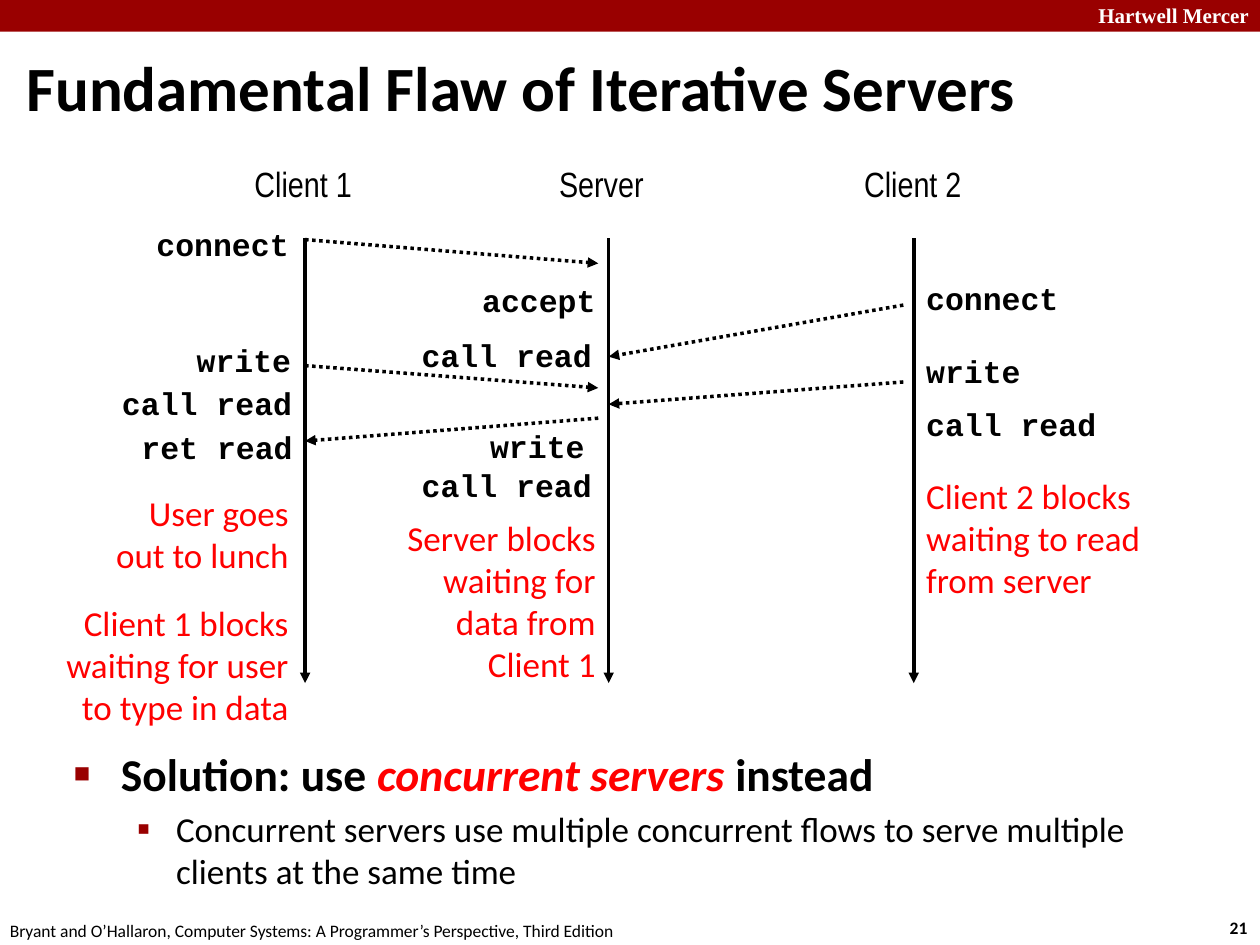
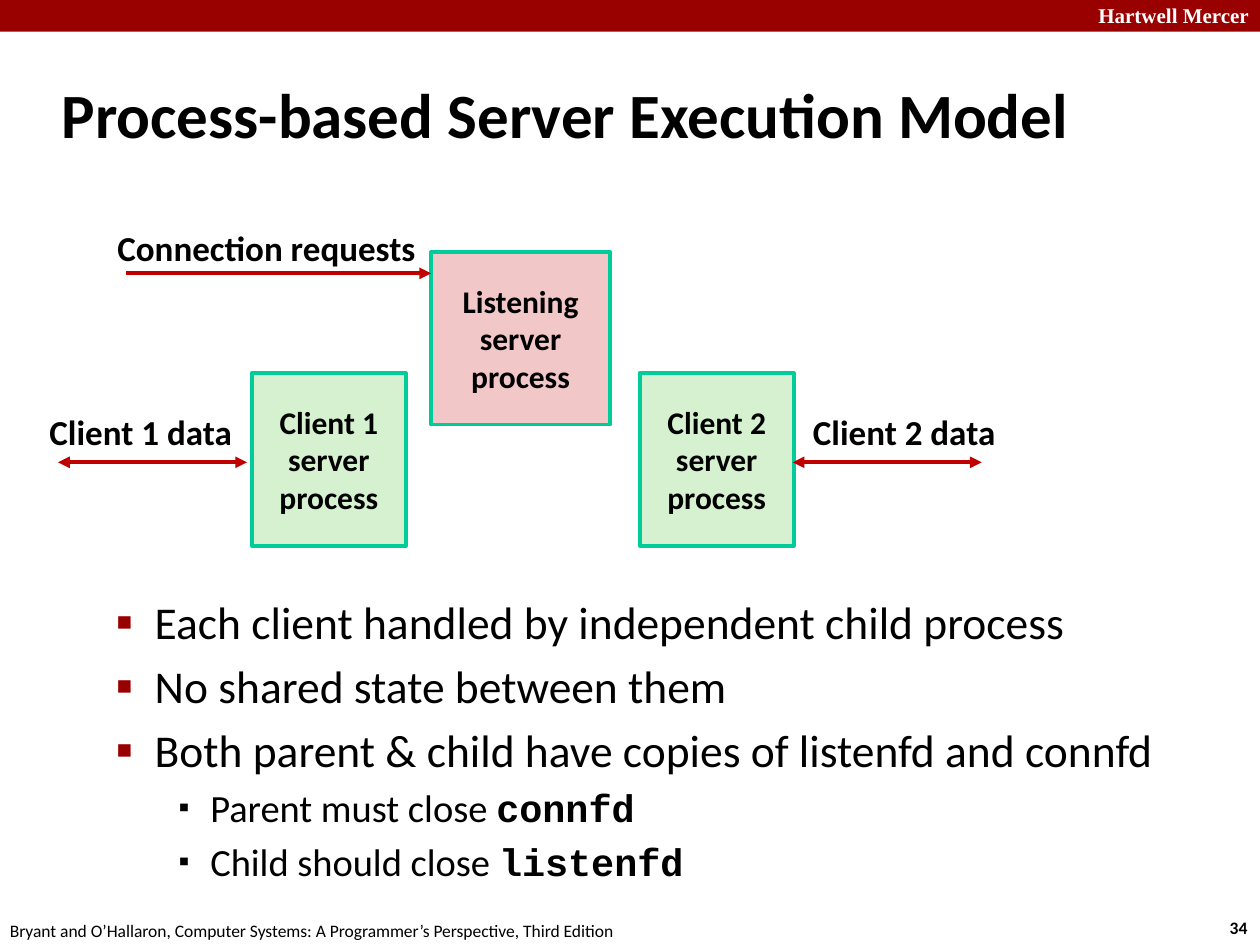
"""Build two slides on iterative and process-based servers."""
from lxml.etree import SubElement
from pptx import Presentation
from pptx.dml.color import RGBColor
from pptx.enum.dml import MSO_LINE_DASH_STYLE as DASH
from pptx.enum.shapes import MSO_CONNECTOR as CONN, MSO_SHAPE as SHAPE
from pptx.enum.text import MSO_ANCHOR as ANCHOR, MSO_AUTO_SIZE as AUTO, PP_ALIGN as ALIGN
from pptx.oxml.ns import qn
from pptx.util import Cm, Pt

BLACK, WHITE, RED = "000000", "FFFFFF", "FF0000"
CRIMSON, ARROW_RED = "990000", "C00000"
GREEN, PINK, TEAL = "D5F1CF", "F1C7C7", "00CC99"
SANS, NARROW, MONO, SERIF = "Calibri", "Arial Narrow", "Courier New", "Times New Roman"
LEFT, RIGHT = ALIGN.LEFT, ALIGN.RIGHT
rgb = RGBColor.from_string


def add_run(p, text, size, font=SANS, color=BLACK, bold=False, italic=False):
    """Append one formatted run to a paragraph."""
    r = p.add_run()
    r.text = text
    r.font.name, r.font.size = font, Pt(size)
    r.font.bold, r.font.italic = bold, italic
    r.font.color.rgb = rgb(color)


def add_line(s, x1, y1, x2, y2, color=BLACK, width=2, dash=None, both=False):
    """Draw an arrow between two points given in centimetres."""
    c = s.shapes.add_connector(CONN.STRAIGHT, Cm(x1), Cm(y1), Cm(x2), Cm(y2))
    c.line.color.rgb, c.line.width = rgb(color), Pt(width)
    if dash:
        c.line.dash_style = dash
    ln = c.line._get_or_add_ln()
    for tag in ["a:headEnd", "a:tailEnd"] if both else ["a:tailEnd"]:
        SubElement(ln, qn(tag), type="triangle")
    SubElement(c._element.spPr, qn("a:effectLst"))


prs = Presentation()
prs.slide_width, prs.slide_height = Cm(25.4), Cm(19.05)

titles = [
    ("Fundamental Flaw of Iterative Servers", "21", 0.28, 0.94, 24.97, 1.6),
    ("Process-based Server Execution Model", "34", 0.99, 1.22, 21.08, 2.11),
]
slides, labels = [], []
for title, number, x, y, w, h in titles:
    s = prs.slides.add_slide(prs.slide_layouts[5])
    slides.append(s)
    sp = s.shapes.title
    sp.left, sp.top, sp.width, sp.height = Cm(x), Cm(y), Cm(w), Cm(h)
    tf = sp.text_frame
    tf.auto_size, tf.vertical_anchor = AUTO.NONE, ANCHOR.MIDDLE
    tf.paragraphs[0].alignment = LEFT
    add_run(tf.paragraphs[0], title, 36, bold=True)

    band = s.shapes.add_shape(SHAPE.RECTANGLE, 0, 0, prs.slide_width, Cm(0.64))
    band.shadow.inherit = False
    band.fill.solid()
    band.fill.fore_color.rgb = rgb(CRIMSON)
    band.line.fill.background()
    labels += [
        (s, "Hartwell Mercer", 21.8, -0.08, 3.63, 12, SERIF, WHITE, True, RIGHT),
        (s, number, 24.54, 18.36, 0.94, 10, SANS, BLACK, True, LEFT),
        (s, "Bryant and O’Hallaron, Computer Systems: A Programmer’s Perspective, "
            "Third Edition", -0.05, 18.42, 12.9, 10, SANS, BLACK, False, LEFT),
    ]
flaw, model = slides

for x in [6.15, 12.27, 18.42]:
    add_line(flaw, x, 4.8, x, 13.77)
for message in [
    (6.15, 4.83, 12.06, 5.31),
    (18.21, 6.15, 12.27, 7.19),
    (6.15, 7.37, 12.06, 7.82),
    (18.21, 7.7, 12.27, 8.15),
    (12.06, 8.43, 6.15, 8.89),
]:
    add_line(flaw, *message, dash=DASH.ROUND_DOT)

for text, x, w in [("Client 1", 4.88, 2.49), ("Server", 11.02, 2.24), ("Client 2", 17.17, 2.49)]:
    labels.append((flaw, text, x, 3.15, w, 20, NARROW, BLACK, False, LEFT))
for text, x, y, w, align in [
    ("connect", 2.87, 4.42, 3.2, RIGHT),
    ("write", 3.68, 6.76, 2.44, RIGHT),
    ("call read", 2.18, 7.62, 3.96, RIGHT),
    ("ret read", 2.57, 8.51, 3.58, RIGHT),
    ("accept", 9.47, 5.54, 2.82, LEFT),
    ("call read", 8.25, 6.65, 3.96, LEFT),
    ("write", 9.63, 8.48, 2.44, LEFT),
    ("call read", 8.25, 9.27, 3.96, LEFT),
    ("connect", 18.42, 5.51, 3.2, LEFT),
    ("write", 18.42, 6.98, 2.44, LEFT),
    ("call read", 18.42, 8.05, 3.96, LEFT),
]:
    labels.append((flaw, text, x, y, w, 18, MONO, BLACK, True, align))
for text, x, y, w, align in [
    ("User goes\nout to lunch", 2.08, 9.78, 3.99, RIGHT),
    ("Client 1 blocks\nwaiting for user\nto type in data", 0.89, 12.01, 5.18, RIGHT),
    ("Server blocks\nwaiting for\ndata from\nClient 1", 7.92, 10.29, 4.34, RIGHT),
    ("Client 2 blocks\nwaiting to read\nfrom server", 18.42, 9.45, 4.88, LEFT),
]:
    labels.append((flaw, text, x, y, w, 20, SANS, RED, False, align))

for name, x, y, w, fill in [
    ("Client 1", 5.08, 7.52, 3.1, GREEN),
    ("Client 2", 12.9, 7.52, 3.1, GREEN),
    ("Listening", 8.69, 5.08, 3.61, PINK),
]:
    sp = model.shapes.add_shape(SHAPE.RECTANGLE, Cm(x), Cm(y), Cm(w), Cm(3.48))
    sp.shadow.inherit = False
    sp.fill.solid()
    sp.fill.fore_color.rgb = rgb(fill)
    sp.line.color.rgb, sp.line.width = rgb(TEAL), Pt(2.25)
    tf = sp.text_frame
    tf.word_wrap, tf.vertical_anchor = False, ANCHOR.MIDDLE
    for i, text in enumerate([name, "server", "process"]):
        p = tf.add_paragraph() if i else tf.paragraphs[0]
        p.alignment = ALIGN.CENTER
        add_run(p, text, 18, bold=True)

for x1, x2, y, both in [
    (2.54, 8.69, 5.51, False),
    (1.17, 4.98, 9.32, True),
    (19.79, 15.98, 9.32, True),
]:
    add_line(model, x1, y, x2, y, ARROW_RED, 2.25, both=both)
for text, x, y, w in [
    ("Connection requests", 2.03, 4.44, 6.6),
    ("Client 1 data", 0.69, 8.15, 4.24),
    ("Client 2 data", 16.08, 8.15, 4.24),
]:
    labels.append((model, text, x, y, w, 20, SANS, BLACK, True, RIGHT))

for s, text, x, y, w, size, font, color, bold, align in labels:
    lines = text.split("\n")
    height = 0.25 + 0.043 * size * len(lines)
    tf = s.shapes.add_textbox(Cm(x), Cm(y), Cm(w), Cm(height)).text_frame
    tf.word_wrap = False
    for i, line in enumerate(lines):
        p = tf.add_paragraph() if i else tf.paragraphs[0]
        p.alignment = align
        add_run(p, line, size, font, color, bold)

BOLD, CODE = {"bold": True}, {"font": MONO, "bold": True}
KEY = {"color": RED, "bold": True, "italic": True}
top = (0, 0.95, 0.95, "■", CRIMSON, 60)
sub = (1, 2.06, 0.79, "▪", CRIMSON, 110)
subsub = (2, 3.18, 0.64, "▪", BLACK, 80)
bodies = [
    (flaw, (1.24, 14.91, 23.52, 3.2), [
        (top, 26, [("Solution: use ", BOLD), ("concurrent servers ", KEY), ("instead", BOLD)]),
        (sub, 20, [("Concurrent servers use multiple concurrent flows to serve multiple "
                    "clients at the same time", {})]),
    ]),
    (model, (0.81, 11.86, 23.09, 5.64), [
        (sub, 26, [("Each client handled by independent child process", {})]),
        (sub, 26, [("No shared state between them", {})]),
        (sub, 26, [("Both parent & child have copies of listenfd and connfd", {})]),
        (subsub, 22, [("Parent must close ", {}), ("connfd", CODE)]),
        (subsub, 22, [("Child should close ", {}), ("listenfd", CODE)]),
    ]),
]
for s, box, items in bodies:
    tf = s.shapes.add_textbox(*map(Cm, box)).text_frame
    tf.word_wrap = True
    for i, (style, size, runs) in enumerate(items):
        level, margin, hang, char, color, scale = style
        p = tf.add_paragraph() if i else tf.paragraphs[0]
        p.level, p.space_before = level, Pt(0.2 * size)
        pPr = p._p.get_or_add_pPr()
        pPr.set("marL", str(Cm(margin)))
        pPr.set("indent", str(-Cm(hang)))
        SubElement(SubElement(pPr, qn("a:buClr")), qn("a:srgbClr"), val=color)
        SubElement(pPr, qn("a:buSzPct"), val=str(scale * 1000))
        SubElement(pPr, qn("a:buFont"), typeface="Arial")
        SubElement(pPr, qn("a:buChar"), char=char)
        for text, look in runs:
            add_run(p, text, size, **look)

prs.save("out.pptx")
